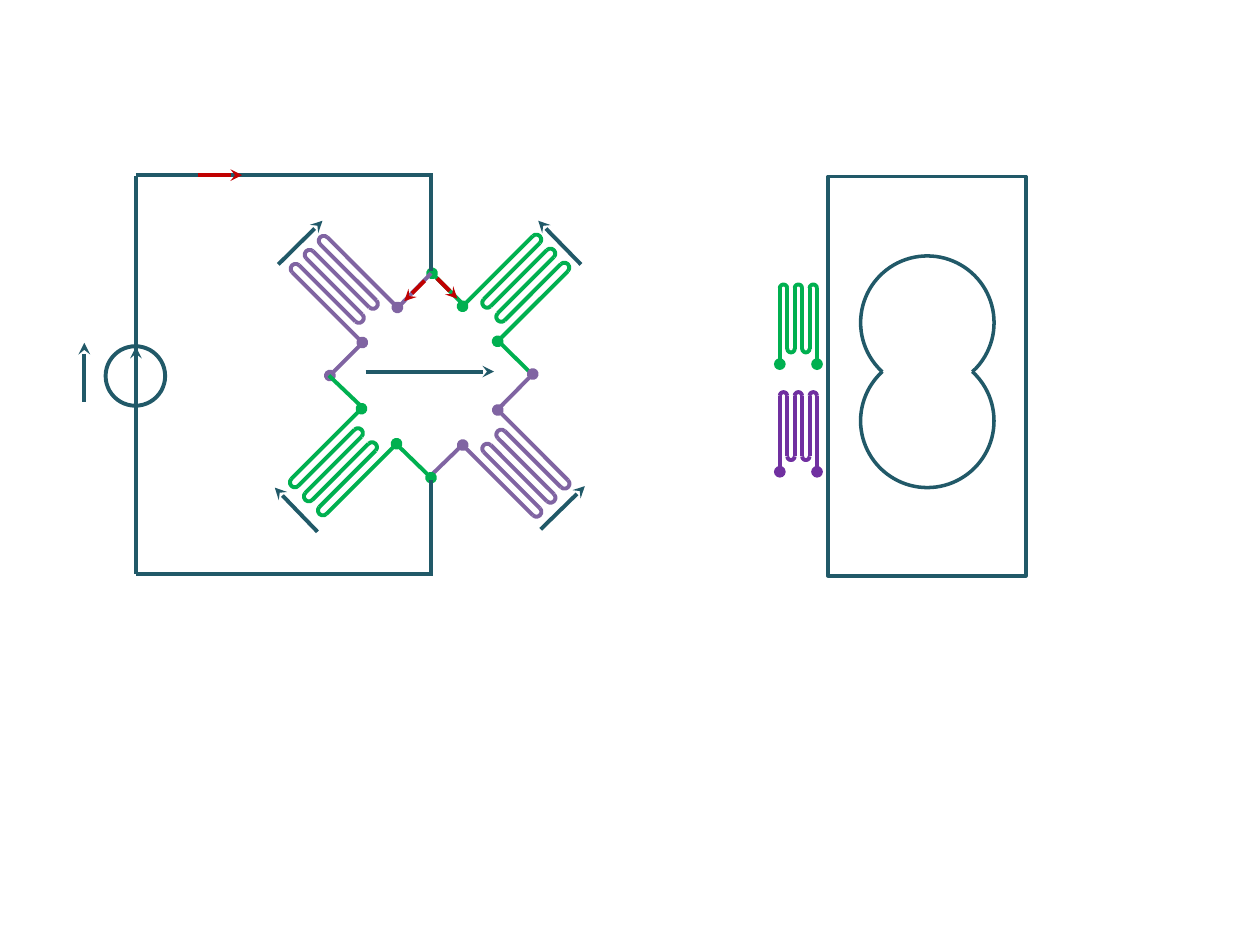
from math import cos, radians, sin

from lxml.etree import SubElement
from pptx import Presentation
from pptx.dml.color import RGBColor
from pptx.enum.shapes import MSO_CONNECTOR, MSO_SHAPE as SHAPE
from pptx.oxml.ns import qn
from pptx.util import Cm, Pt

TEAL, GREEN, MAUVE, VIOLET, RED = "215968", "00B050", "8064A2", "7030A0", "C00000"
HALF_TURN = (108, 0)
LEGS = 6

BRIDGE_SIZE = dict(pitch=0.2, long=2.0, short=1.6)
SIDE_SIZE = dict(pitch=0.15, long=1.53, short=1.22)
COILS = [
    dict(color=GREEN, angle=45, tip=(10.74, 4.76), size=BRIDGE_SIZE,
         dotted_lead=(8.71, 5.51, 9.35, 6.15), plain_lead=(10.72, 7.54, 10.08, 6.91)),
    dict(color=MAUVE, angle=315, tip=(5.89, 5.49), size=BRIDGE_SIZE,
         dotted_lead=(6.65, 7.57, 7.29, 6.93), plain_lead=(8.69, 5.51, 8.05, 6.17)),
    dict(color=MAUVE, angle=135, tip=(11.45, 9.68), size=BRIDGE_SIZE,
         dotted_lead=(10.74, 7.54, 10.06, 8.23), plain_lead=(9.3, 8.99, 8.64, 9.63)),
    dict(color=GREEN, angle=225, tip=(6.58, 10.36), size=BRIDGE_SIZE,
         dotted_lead=(8.69, 9.63, 8.03, 8.99), plain_lead=(7.29, 8.2, 6.63, 7.57)),
    dict(color=GREEN, angle=0, tip=(15.72, 5.81), size=SIDE_SIZE),
    dict(color=VIOLET, angle=0, tip=(15.72, 7.98), size=SIDE_SIZE),
]
WIRES = [
    (2.74, 3.54, 2.74, 11.58),
    (2.74, 3.53, 8.71, 3.53),
    (8.69, 5.46, 8.69, 3.48),
    (8.69, 11.61, 8.69, 9.68),
    (2.74, 11.58, 8.64, 11.58),
]
ARROWS = [
    (TEAL, (2.74, 8.18, 2.74, 6.99)),
    (TEAL, (1.7, 8.1, 1.7, 6.91)),
    (RED, (3.99, 3.53, 4.88, 3.53)),
    (RED, (8.81, 5.61, 9.22, 6.02)),
    (RED, (8.56, 5.66, 8.15, 6.07)),
    (TEAL, (5.61, 5.33, 6.5, 4.45)),
    (TEAL, (10.9, 10.67, 11.79, 9.8)),
    (TEAL, (6.4, 10.72, 5.54, 9.83)),
    (TEAL, (11.71, 5.33, 10.85, 4.45)),
    (TEAL, (7.37, 7.49, 9.96, 7.49)),
]
SOURCE = (2.13, 6.98, 1.2, 1.2)
BODY = (16.69, 3.56, 3.99, 8.05)
BORES = [
    ((17.35, 7.14, 2.69, 2.69), (187.46, 136.56)),
    ((17.35, 5.16, 2.69, 2.69), (79.44, 28.54)),
]


def set_line(part, color, width):
    part.line.color.rgb = RGBColor.from_string(color)
    part.line.width = Pt(width)


def add_outline(shapes, kind, box, color, width=2.25, angles=(), rotation=0):
    outline = shapes.add_shape(kind, *map(Cm, box))
    outline.shadow.inherit = False
    outline.fill.background()
    set_line(outline, color, width)
    for index, angle in enumerate(angles):
        outline.adjustments[index] = angle
    outline.rotation = rotation


def add_line(shapes, ends, color, head=None, tail=None):
    line = shapes.add_connector(MSO_CONNECTOR.STRAIGHT, *map(Cm, ends))
    set_line(line, color, 2.25)
    properties = line._element.spPr
    stroke = properties.find(qn("a:ln"))
    for tag, mark in (("a:headEnd", head), ("a:tailEnd", tail)):
        if mark:
            SubElement(stroke, qn(tag), type=mark)
    SubElement(properties, qn("a:effectLst"))


def add_coil(slide, color, angle, tip, size, dotted_lead=None, plain_lead=None):
    shapes = slide.shapes.add_group_shape().shapes
    pitch = size["pitch"]
    across, down = cos(radians(angle)), sin(radians(angle))

    def place(step, depth):
        return (tip[0] + step * pitch * across - depth * down,
                tip[1] + step * pitch * down + depth * across)

    if dotted_lead:
        add_line(shapes, dotted_lead, color, head="oval")
    if plain_lead:
        add_line(shapes, plain_lead, color)
    for leg in range(LEGS):
        outer = leg in (0, LEGS - 1)
        foot = place(leg, size["long" if outer else "short"])
        add_line(shapes, foot + place(leg, 0), color, head="oval" if outer else None)
    for leg in range(LEGS - 1):
        at_foot = leg % 2
        x, y = place(leg + 0.5, size["short"] * at_foot)
        add_outline(shapes, SHAPE.ARC, (x - pitch / 2, y - pitch / 2, pitch, pitch), color,
                    angles=HALF_TURN, rotation=angle + 180 * at_foot)


def main():
    """Draw the four-coil bridge circuit and the side view of the body."""
    deck = Presentation()
    deck.slide_width, deck.slide_height = Cm(25.4), Cm(19.05)
    slide = deck.slides.add_slide(deck.slide_layouts[6])
    for coil in COILS:
        add_coil(slide, **coil)
    add_outline(slide.shapes, SHAPE.OVAL, SOURCE, TEAL)
    for wire in WIRES:
        add_line(slide.shapes, wire, TEAL)
    for color, ends in ARROWS:
        add_line(slide.shapes, ends, color, tail="stealth")
    add_outline(slide.shapes, SHAPE.RECTANGLE, BODY, TEAL, width=2)
    bores = slide.shapes.add_group_shape().shapes
    for box, angles in BORES:
        add_outline(bores, SHAPE.ARC, box, TEAL, width=2, angles=angles)
    deck.save("out.pptx")


if __name__ == "__main__":
    main()
